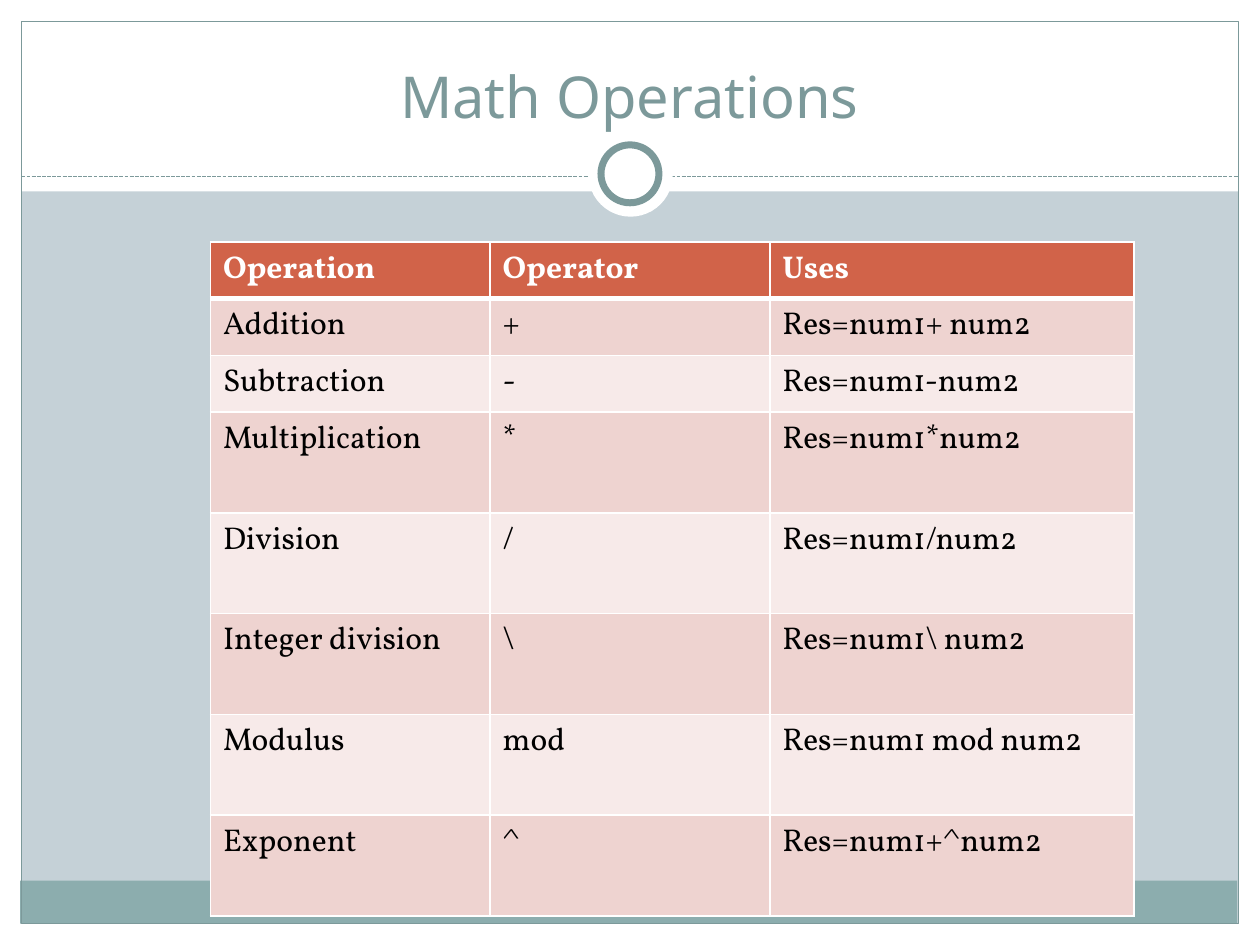
from dataclasses import dataclass
from typing import Optional

from lxml.etree import SubElement
from pptx import Presentation
from pptx.dml.color import RGBColor
from pptx.enum.dml import MSO_LINE_DASH_STYLE as Dash
from pptx.enum.shapes import MSO_CONNECTOR as Connector
from pptx.enum.shapes import MSO_SHAPE as Preset
from pptx.enum.text import MSO_ANCHOR as Anchor
from pptx.enum.text import MSO_AUTO_SIZE as AutoSize
from pptx.enum.text import PP_ALIGN as Align
from pptx.oxml.ns import qn
from pptx.util import Inches, Pt

WHITE = "FFFFFF"
BLACK = "000000"
SAGE = "7C999A"
TEAL = "8CADAE"
MIST = "C5D1D7"
RUST = "D16349"
BANDS = ("EED3D0", "F7EAE9")

COLUMN_WIDTHS = (2.22, 2.22, 2.89)
SHORT_ROW, TALL_ROW = 0.45, 0.8
SHORT_ROW_COUNT = 3
ROWS = (
    ("Operation", "Operator", "Uses"),
    ("Addition", "+", "Res=num1+ num2"),
    ("Subtraction", "-", "Res=num1-num2"),
    ("Multiplication", "*", "Res=num1*num2"),
    ("Division", "/", "Res=num1/num2"),
    ("Integer division", "\\", "Res=num1\\ num2"),
    ("Modulus", "mod", "Res=num1 mod num2"),
    ("Exponent", "^", "Res=num1+^num2"),
)


@dataclass(frozen=True)
class Panel:
    left: float
    top: float
    width: float
    height: float
    fill: Optional[str] = None
    line: Optional[str] = None
    line_width: float = 0.75
    preset: Preset = Preset.RECTANGLE


FRAME = (
    Panel(0, 7.33, 10, 0.17, WHITE),
    Panel(0, 0, 10, 1.52, WHITE),
    Panel(0, 0, 0.17, 7.5, WHITE),
    Panel(9.83, 0, 0.17, 7.5, WHITE),
    Panel(0.16, 6.99, 9.66, 0.34, TEAL),
    Panel(0.17, 0.17, 9.66, 7.16, line=SAGE),
)
RING = (
    Panel(4.67, 1.05, 0.67, 0.67, WHITE, preset=Preset.OVAL),
    Panel(4.77, 1.15, 0.46, 0.46, WHITE, SAGE, 4, Preset.OVAL),
)


def color(value: str) -> RGBColor:
    return RGBColor.from_string(value)


def paint(fill, value: str) -> None:
    fill.solid()
    fill.fore_color.rgb = color(value)


def draw_panel(slide, panel: Panel) -> None:
    shape = slide.shapes.add_shape(
        panel.preset, Inches(panel.left), Inches(panel.top),
        Inches(panel.width), Inches(panel.height))
    shape.shadow.inherit = False
    if panel.fill:
        paint(shape.fill, panel.fill)
    else:
        shape.fill.background()
    if panel.line:
        paint(shape.line.fill, panel.line)
        shape.line.width = Pt(panel.line_width)
    else:
        shape.line.fill.background()


def draw_divider(slide) -> None:
    divider = slide.shapes.add_connector(
        Connector.STRAIGHT, Inches(0.17), Inches(1.4), Inches(9.83), Inches(1.4))
    paint(divider.line.fill, SAGE)
    divider.line.width = Pt(0.75)
    divider.line.dash_style = Dash.SQUARE_DOT
    SubElement(divider.element.spPr, qn("a:effectLst"))


def format_title(slide) -> None:
    title = slide.shapes.title
    slide.shapes.element.append(title.element)
    title.left, title.top = Inches(0.33), Inches(0.25)
    title.width, title.height = Inches(9.33), Inches(0.83)
    frame = title.text_frame
    frame.text = "Math Operations"
    frame.auto_size = AutoSize.NONE
    frame.vertical_anchor = Anchor.BOTTOM
    paragraph = frame.paragraphs[0]
    paragraph.alignment = Align.CENTER
    paragraph.font.name = "Noto Sans"
    paragraph.font.size = Pt(33)
    paragraph.font.color.rgb = color(SAGE)


def add_borders(cell, widths: dict[str, float]) -> None:
    properties = cell._tc.get_or_add_tcPr()
    for side, width in widths.items():
        line = SubElement(properties, qn(f"a:ln{side}"), w=str(Pt(width)))
        fill = SubElement(line, qn("a:solidFill"))
        SubElement(fill, qn("a:srgbClr"), val=WHITE)


def format_cell(cell, text: str, row: int) -> None:
    header = row == 0
    add_borders(cell, {"L": 1, "R": 1, "T": 3 if row == 1 else 1, "B": 3 if header else 1})
    paint(cell.fill, RUST if header else BANDS[(row - 1) % 2])
    cell.text = text
    font = cell.text_frame.paragraphs[0].font
    font.name = "Vollkorn"
    font.size = Pt(18)
    font.bold = header
    font.color.rgb = color(WHITE if header else BLACK)


def draw_operations(slide) -> None:
    heights = [SHORT_ROW if row < SHORT_ROW_COUNT else TALL_ROW for row in range(len(ROWS))]
    table = slide.shapes.add_table(
        len(ROWS), len(COLUMN_WIDTHS), Inches(1.67), Inches(1.92),
        Inches(sum(COLUMN_WIDTHS)), Inches(sum(heights))).table
    for column, width in zip(table.columns, COLUMN_WIDTHS):
        column.width = Inches(width)
    for row, (texts, height) in enumerate(zip(ROWS, heights)):
        table.rows[row].height = Inches(height)
        for column, text in enumerate(texts):
            format_cell(table.cell(row, column), text, row)


def main() -> None:
    presentation = Presentation()
    presentation.slide_width, presentation.slide_height = Inches(10), Inches(7.5)
    slide = presentation.slides.add_slide(presentation.slide_layouts.get_by_name("Title Only"))
    paint(slide.background.fill, MIST)
    for panel in FRAME:
        draw_panel(slide, panel)
    draw_divider(slide)
    for panel in RING:
        draw_panel(slide, panel)
    format_title(slide)
    draw_operations(slide)
    presentation.save("out.pptx")


if __name__ == "__main__":
    main()
